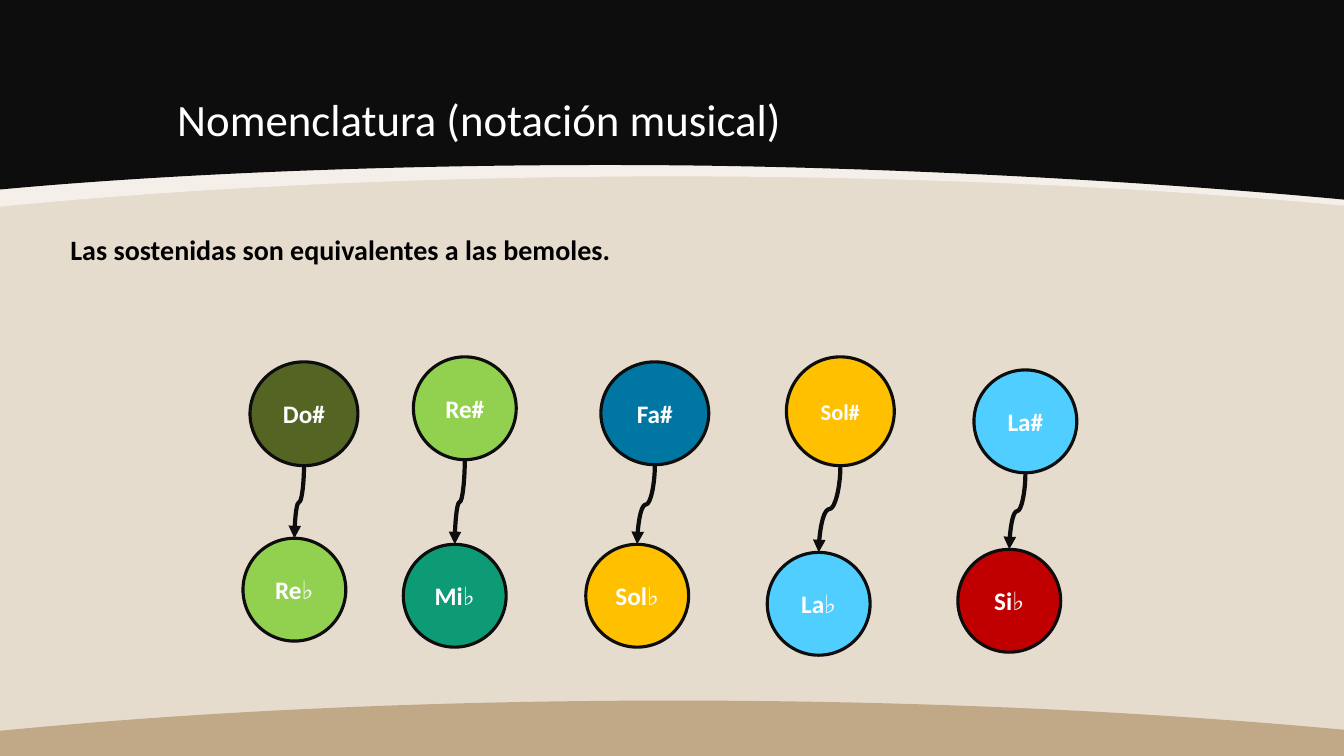
"""Build the slide on equivalent sharp and flat notes."""
from lxml import etree
from pptx import Presentation
from pptx import util as u
from pptx.dml.color import RGBColor
from pptx.enum import shapes, text
from pptx.oxml.ns import qn

FONT = "Calibri"
SAND = RGBColor(0xE6, 0xDC, 0xCE)
CREAM = RGBColor(0xFA, 0xF8, 0xF5)
INK = RGBColor(0x0D, 0x0D, 0x0D)
TAN = RGBColor(0xC1, 0xA8, 0x86)
WHITE = RGBColor(0xFF, 0xFF, 0xFF)
BLACK = RGBColor(0, 0, 0)
OLIVE = RGBColor(0x54, 0x64, 0x22)
LIME = RGBColor(0x92, 0xD0, 0x50)
TEAL = RGBColor(0x0C, 0x9B, 0x74)
BLUE = RGBColor(0x00, 0x76, 0xA3)
AMBER = RGBColor(0xFF, 0xC0, 0x00)
SKY = RGBColor(0x4F, 0xCE, 0xFF)
RED = RGBColor(0xC0, 0x00, 0x00)

WIDTH, HEIGHT = 13.33, 7.5
TITLE = "Nomenclatura (notación musical)"
STATEMENT = "Las sostenidas son equivalentes a las bemoles."
DIAMETER = 1.02

BANDS = [
    (CREAM, 70, 0, [(13.33, 2.04), (11.4, 1.86), (9.12, 1.75), (6.68, 1.75),
                    (4.23, 1.75), (1.94, 1.86), (0, 2.05)]),
    (INK, 100, 0, [(13.33, 1.98), (11.4, 1.8), (8.89, 1.66), (6.68, 1.64),
                   (4.45, 1.62), (1.94, 1.7), (0, 1.88)]),
    (TAN, 100, HEIGHT, [(13.33, 7.24), (11.4, 7.06), (9.12, 6.95), (6.68, 6.95),
                        (4.23, 6.95), (1.94, 7.06), (0, 7.25)]),
]

PAIRS = [
    (("Do#", OLIVE, 2.48, 3.59, 1.07, 1.03, 18), ("Re♭", LIME, 2.41, 5.34)),
    (("Re#", LIME, 4.1, 3.54, DIAMETER, DIAMETER, 18), ("Mi♭", TEAL, 4, 5.4)),
    (("Fa#", BLUE, 5.96, 3.59, 1.07, 1.02, 18), ("Sol♭", AMBER, 5.81, 5.4)),
    (("Sol#", AMBER, 7.8, 3.54, 1.07, 1.08, 16), ("La♭", SKY, 7.61, 5.48)),
    (("La#", SKY, 9.66, 3.67, DIAMETER, DIAMETER, 18), ("Si♭", RED, 9.5, 5.45)),
]


def bend(band):
    """Turn the last six straight segments into two Bézier curves."""
    segments = list(band._element.iter(qn("a:lnTo")))[2:8]
    for first in (0, 3):
        lines = segments[first:first + 3]
        curve = etree.Element(qn("a:cubicBezTo"))
        lines[0].addprevious(curve)
        for line in lines:
            curve.append(line.find(qn("a:pt")))
            line.getparent().remove(line)


def add_band(slide, colour, opacity, edge, controls):
    outline = [(WIDTH, edge)] + controls
    builder = slide.shapes.build_freeform(0, u.Inches(edge))
    builder.add_line_segments([(u.Inches(x), u.Inches(y)) for x, y in outline], close=True)
    band = builder.convert_to_shape()
    bend(band)
    band.shadow.inherit = False
    band.line.fill.background()
    band.fill.solid()
    band.fill.fore_color.rgb = colour
    if opacity < 100:
        srgb = band._element.spPr.find(qn("a:solidFill")).find(qn("a:srgbClr"))
        etree.SubElement(srgb, qn("a:alpha"), val=str(opacity * 1000))


def write(shape, words, size, colour, bold, anchor, align, spacing=None):
    frame = shape.text_frame
    frame.word_wrap = True
    frame.vertical_anchor = anchor
    paragraph = frame.paragraphs[0]
    paragraph.alignment = align
    paragraph.line_spacing = spacing
    run = paragraph.add_run()
    run.text = words
    run.font.name = FONT
    run.font.size = u.Pt(size)
    run.font.bold = bold
    run.font.color.rgb = colour


def add_text(slide, place, words, size, colour, bold, anchor):
    box = slide.shapes.add_textbox(*map(u.Inches, place))
    write(box, words, size, colour, bold, anchor, text.PP_ALIGN.LEFT, 0.9)


def add_note(slide, name, colour, left, top, width=DIAMETER, height=DIAMETER, size=18):
    note = slide.shapes.add_shape(shapes.MSO_SHAPE.FLOWCHART_CONNECTOR,
                                  *map(u.Inches, (left, top, width, height)))
    note.shadow.inherit = False
    note.fill.solid()
    note.fill.fore_color.rgb = colour
    note.line.color.rgb = INK
    note.line.width = u.Pt(2.25)
    write(note, name, size, WHITE, True, text.MSO_ANCHOR.MIDDLE, text.PP_ALIGN.CENTER)
    return note


def add_arrow(slide, sharp, flat):
    start_x, start_y = sharp.left + sharp.width // 2, sharp.top + sharp.height
    end_x, end_y = flat.left + flat.width // 2, flat.top
    drop, shift = end_y - start_y, start_x - end_x
    left = (start_x + end_x - drop) // 2
    top = (start_y + end_y - shift) // 2
    arrow = slide.shapes.add_connector(shapes.MSO_CONNECTOR.CURVE,
                                       left, top, left + drop, top + shift)
    properties = arrow._element.spPr
    properties.find(qn("a:xfrm")).set("rot", str(90 * 60000))
    arrow.line.color.rgb = INK
    arrow.line.width = u.Pt(3)
    etree.SubElement(properties.find(qn("a:ln")), qn("a:tailEnd"), type="triangle")
    etree.SubElement(properties, qn("a:effectLst"))


def main():
    deck = Presentation()
    deck.slide_width, deck.slide_height = u.Inches(WIDTH), u.Inches(HEIGHT)
    slide = deck.slides.add_slide(deck.slide_layouts[6])
    slide.background.fill.solid()
    slide.background.fill.fore_color.rgb = SAND
    for band in BANDS:
        add_band(slide, *band)
    add_text(slide, (1.66, 0.3, 10, 1.2), TITLE, 32, WHITE, False, text.MSO_ANCHOR.BOTTOM)
    add_text(slide, (0.6, 2.29, 8.02, 0.92), STATEMENT, 20, BLACK, True, text.MSO_ANCHOR.TOP)
    notes = [(add_note(slide, *sharp), add_note(slide, *flat)) for sharp, flat in PAIRS]
    for sharp, flat in notes:
        add_arrow(slide, sharp, flat)
    deck.save("out.pptx")


if __name__ == "__main__":
    main()
